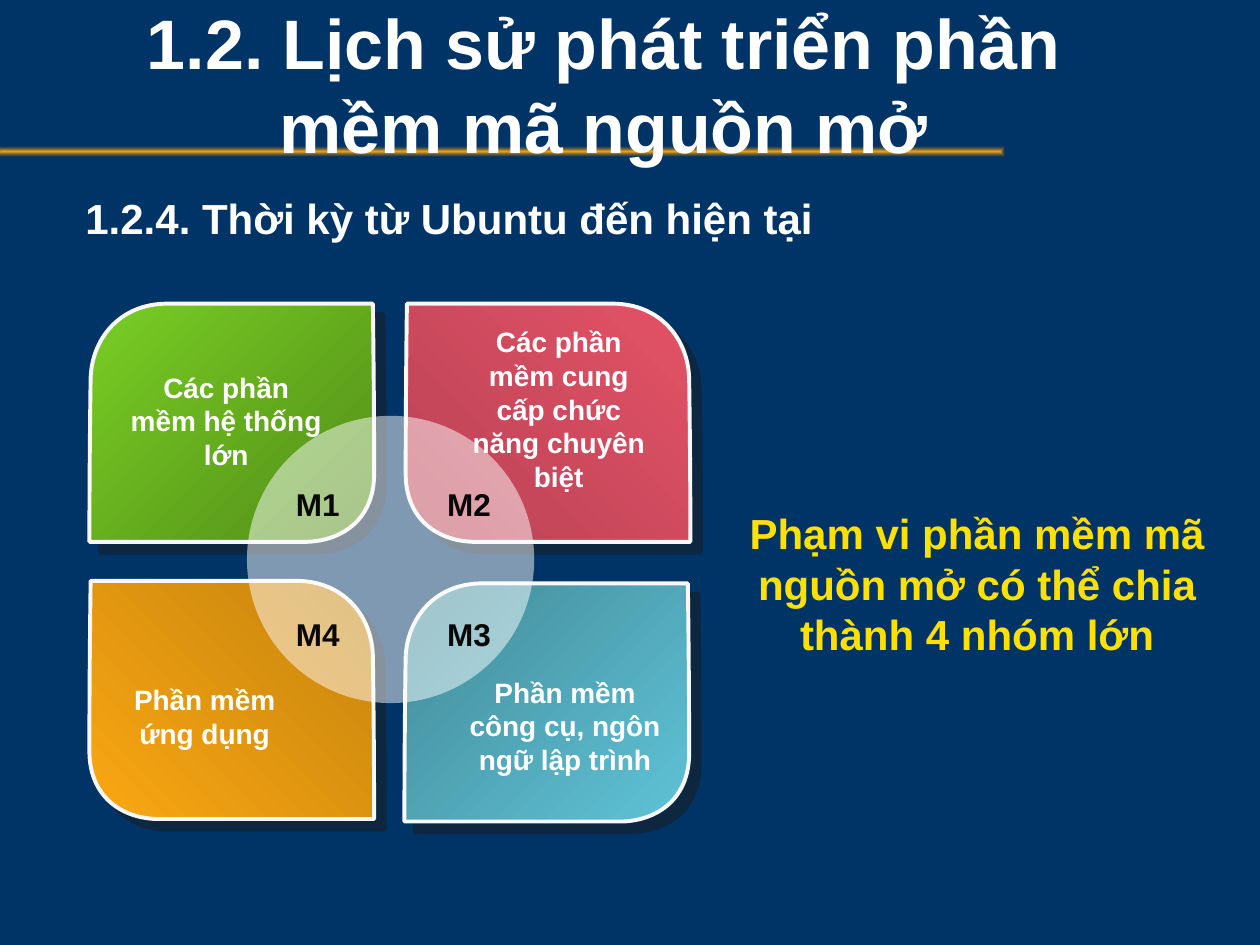
from dataclasses import dataclass

from lxml.etree import SubElement
from pptx import Presentation
from pptx.dml.color import RGBColor
from pptx.enum.shapes import MSO_SHAPE
from pptx.enum.text import MSO_ANCHOR, MSO_AUTO_SIZE, PP_ALIGN
from pptx.oxml import parse_xml
from pptx.oxml.ns import nsdecls, qn
from pptx.util import Inches, Pt

COLORS = {
    "back": "003366", "white": "FFFFFF", "edge": "F8F8F8", "ink": "080808",
    "gold": "FAA712", "bronze": "B3770D", "yellow": "FEE002",
    "shade": "1C1C1C", "disc": "FEFFFF",
    "green": "79CE24", "moss": "528C18", "rose": "E45267", "wine": "B84254",
    "amber": "C5830E", "teal": "5FC3D7", "sea": "438A98",
}
WIDE, HIGH = 2.26, 1.89
START = (1.73, HIGH)
# Each row is one Bezier curve: two control points and an end point.
CURVES = [
    ((0.86, HIGH), (0, HIGH), (0, HIGH)),
    ((0, HIGH), (0, 1.24), (0.01, 0.59)),
    ((0.02, 0.28), (0.24, 0), (0.62, 0)),
    ((1.44, 0), (2.25, 0), (2.25, 0)),
    ((2.25, 0), (WIDE, 0.67), (WIDE, 1.35)),
    ((WIDE, 1.71), (2.01, 1.88), START),
]


@dataclass
class Petal:
    left: float
    top: float
    flip: bool
    start: str
    end: str
    angle: int
    text: str
    text_at: tuple[float, float, float, float]
    mark: str
    mark_at: tuple[float, float]


PETALS = [
    Petal(0.71, 2.41, False, "moss", "green", 135, "Các phần mềm hệ thống lớn",
          (0.93, 2.89, 1.73, 0.91), "M1", (2.25, 3.8)),
    Petal(3.22, 2.41, True, "wine", "rose", 45,
          "Các phần mềm cung cấp chức năng chuyên biệt",
          (3.57, 2.53, 1.73, 1.45), "M2", (3.45, 3.8)),
    Petal(0.71, 4.61, True, "gold", "amber", 45, "Phần mềm ứng dụng",
          (0.76, 5.37, 1.73, 0.64), "M4", (2.25, 4.83)),
    Petal(3.21, 4.63, False, "teal", "sea", 135,
          "Phần mềm công cụ, ngôn ngữ lập trình",
          (3.62, 5.31, 1.73, 0.91), "M3", (3.45, 4.83)),
]


def rgb(name: str) -> RGBColor:
    return RGBColor.from_string(COLORS[name])


def place(shape, at) -> None:
    shape.left, shape.top, shape.width, shape.height = map(Inches, at)


def write(shape, text: str, *, size=16, color="white", align=PP_ALIGN.CENTER,
          anchor=MSO_ANCHOR.TOP, wrap=True) -> None:
    frame = shape.text_frame
    frame.word_wrap = wrap
    frame.auto_size = MSO_AUTO_SIZE.NONE
    frame.vertical_anchor = anchor
    line = frame.paragraphs[0]
    line.alignment = align
    run = line.add_run()
    run.text = text
    run.font.name, run.font.size, run.font.bold = "Arial", Pt(size), True
    run.font.color.rgb = rgb(color)


def add_text(slide, at, text: str, **style) -> None:
    write(slide.shapes.add_textbox(*map(Inches, at)), text, **style)


def bend(shape) -> None:
    """Turn each three line segments of a freeform into one Bezier curve."""
    lines = list(shape.element.iter(qn("a:lnTo")))
    for i in range(0, len(lines), 3):
        trio = lines[i:i + 3]
        arc = trio[0].getparent().makeelement(qn("a:cubicBezTo"))
        trio[0].addprevious(arc)
        for line in trio:
            arc.append(line[0])
            line.getparent().remove(line)


def add_petal(slide, petal: Petal) -> None:
    points = [(Inches(petal.left + (WIDE - x if petal.flip else x)),
               Inches(petal.top + y))
              for x, y in [START, *(p for row in CURVES for p in row)]]
    pen = slide.shapes.build_freeform(*points[0])
    pen.add_line_segments(points[1:], close=True)
    shape = pen.convert_to_shape()
    bend(shape)
    shape.fill.gradient()
    shape.fill.gradient_angle = petal.angle
    for stop, name in zip(shape.fill.gradient_stops, (petal.start, petal.end)):
        stop.color.rgb = rgb(name)
    shape.line.color.rgb = rgb("edge")
    shape.line.width = Pt(2.25)
    shape.element.spPr.append(parse_xml(
        f'<a:effectLst {nsdecls("a")}><a:outerShdw dist="{Pt(8.5)}" '
        f'dir="2700000" algn="ctr" rotWithShape="0">'
        f'<a:srgbClr val="{COLORS["shade"]}"><a:alpha val="50000"/></a:srgbClr>'
        '</a:outerShdw></a:effectLst>'))


def add_plain(slide, kind, at):
    shape = slide.shapes.add_shape(kind, *map(Inches, at))
    shape.shadow.inherit = False
    shape.line.fill.background()
    return shape


def add_bar(slide) -> None:
    """Gold rule behind the title, fading out at its edges."""
    bar = add_plain(slide, MSO_SHAPE.RECTANGLE, (-0.03, 1.16, 8, 0.08))
    bar.element.spPr.find(qn("a:prstGeom")).addnext(parse_xml(
        f'<a:gradFill {nsdecls("a")} rotWithShape="1"><a:gsLst>'
        f'<a:gs pos="0"><a:srgbClr val="{COLORS["gold"]}"/></a:gs>'
        f'<a:gs pos="100000"><a:srgbClr val="{COLORS["bronze"]}">'
        '<a:alpha val="0"/></a:srgbClr></a:gs></a:gsLst><a:path path="shape">'
        '<a:fillToRect l="50000" t="50000" r="50000" b="50000"/></a:path>'
        '</a:gradFill>'))
    slide.shapes.title.element.addprevious(bar.element)


def add_heading(slide) -> None:
    head = add_plain(slide, MSO_SHAPE.ROUNDED_RECTANGLE,
                     (0.58, 1.25, 7.17, 0.95))
    head.adjustments[0] = 0
    head.fill.background()
    write(head, "1.2.4. Thời kỳ từ Ubuntu đến hiện tại", size=24,
          align=PP_ALIGN.LEFT, anchor=MSO_ANCHOR.MIDDLE)


def add_disc(slide) -> None:
    disc = add_plain(slide, MSO_SHAPE.OVAL, (1.96, 3.3, 2.28, 2.28))
    disc.fill.solid()
    disc.fill.fore_color.rgb = rgb("disc")
    tint = disc.element.spPr.find(qn("a:solidFill"))[0]
    SubElement(tint, qn("a:alpha")).set("val", "50000")


def main() -> None:
    deck = Presentation()
    deck.slide_width, deck.slide_height = Inches(10), Inches(7.5)
    slide = deck.slides.add_slide(deck.slide_layouts[5])
    slide.background.fill.solid()
    slide.background.fill.fore_color.rgb = rgb("back")

    add_bar(slide)
    title = slide.shapes.title
    place(title, (0.5, 0.08, 8.58, 1.17))
    write(title, "1.2. Lịch sử phát triển phần mềm mã nguồn mở", size=40,
          anchor=MSO_ANCHOR.MIDDLE)
    add_heading(slide)

    for petal in PETALS:
        add_petal(slide, petal)
    add_disc(slide)
    for petal in PETALS:
        add_text(slide, petal.text_at, petal.text)
    for petal in PETALS:
        add_text(slide, (*petal.mark_at, 0.55, 0.4), petal.mark, size=18,
                 color="ink", align=PP_ALIGN.LEFT, wrap=False)
    add_text(slide, (5.67, 3.98, 4.17, 1.31),
             "Phạm vi phần mềm mã nguồn mở có thể chia thành 4 nhóm lớn",
             size=24, color="yellow")
    deck.save("out.pptx")


if __name__ == "__main__":
    main()
